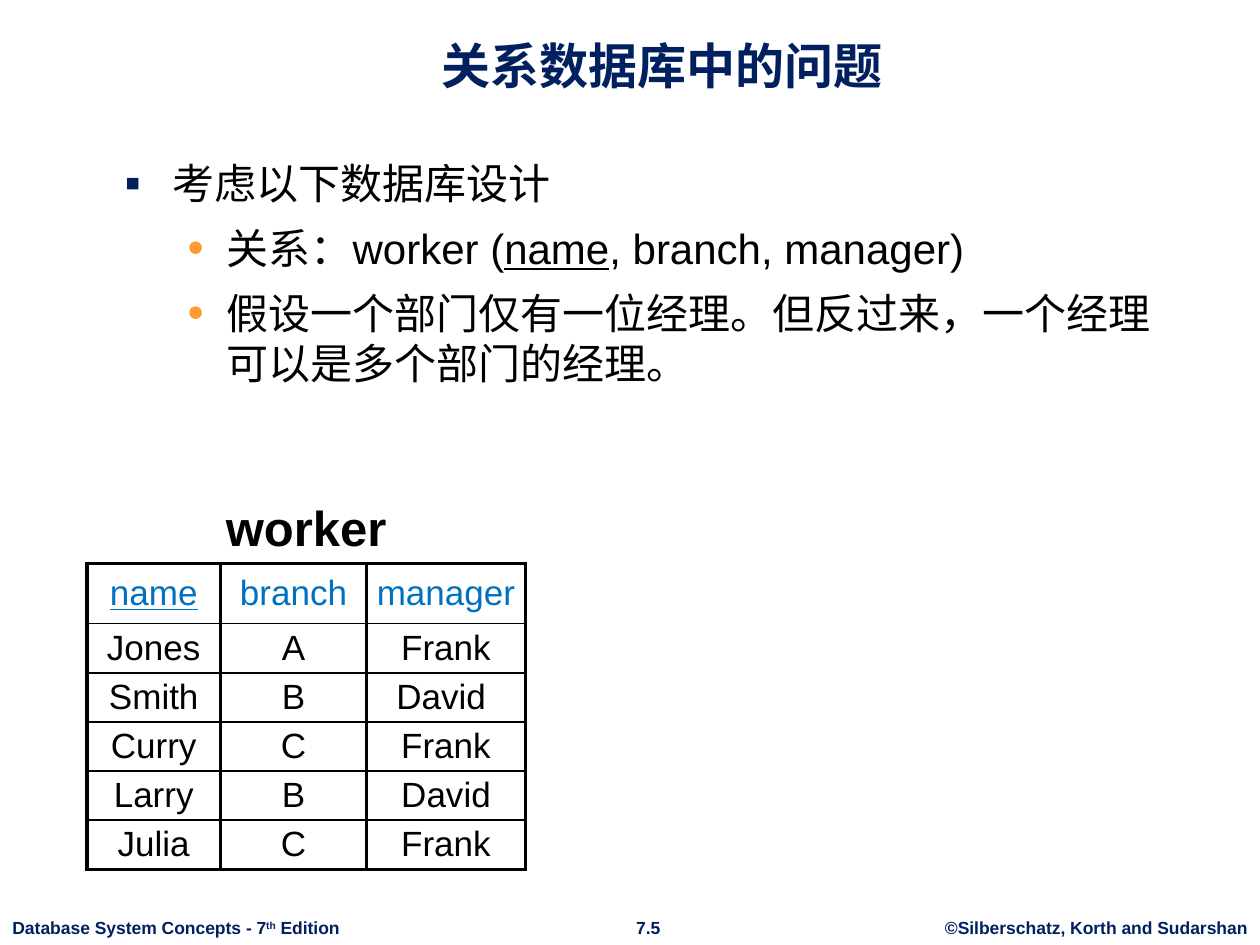
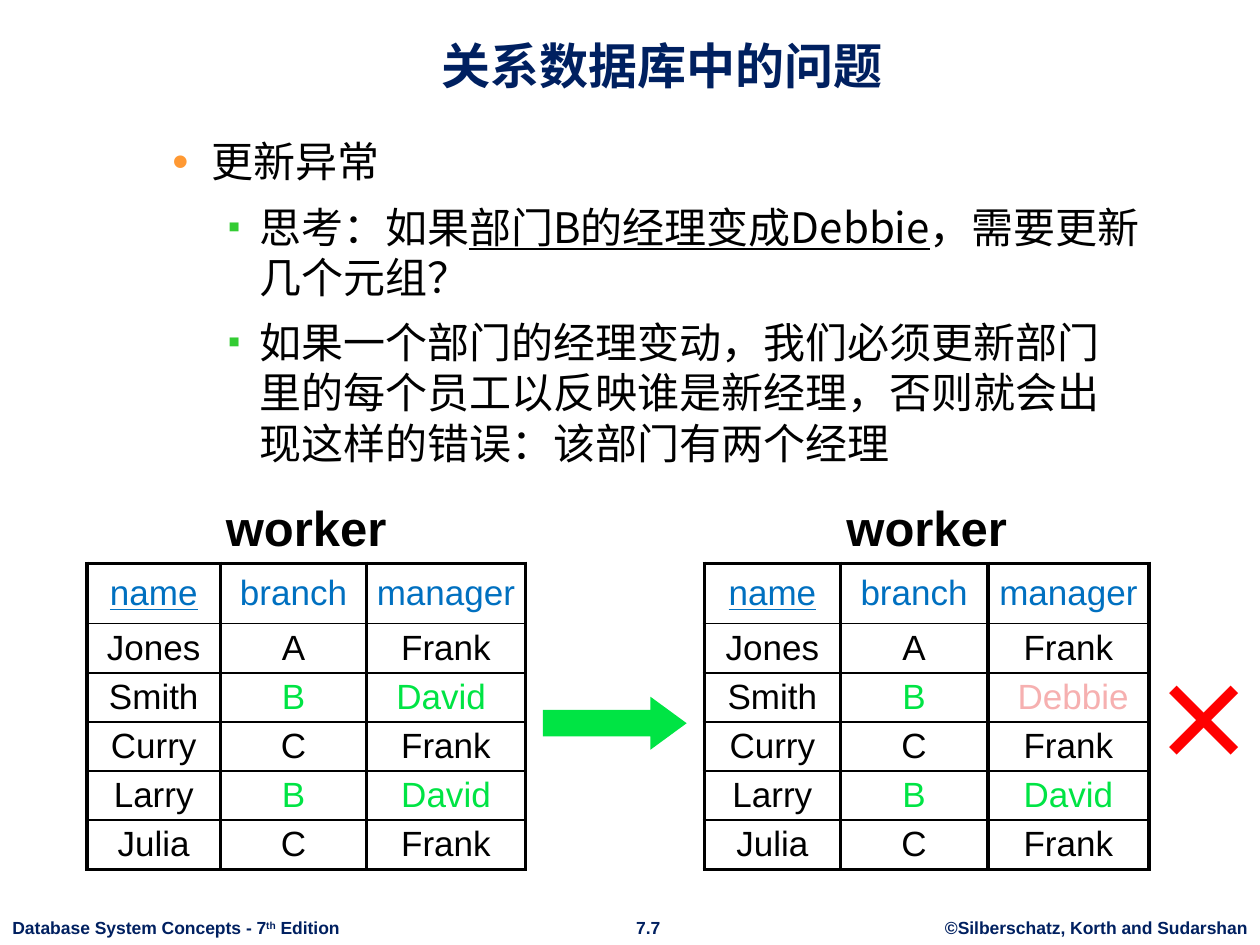
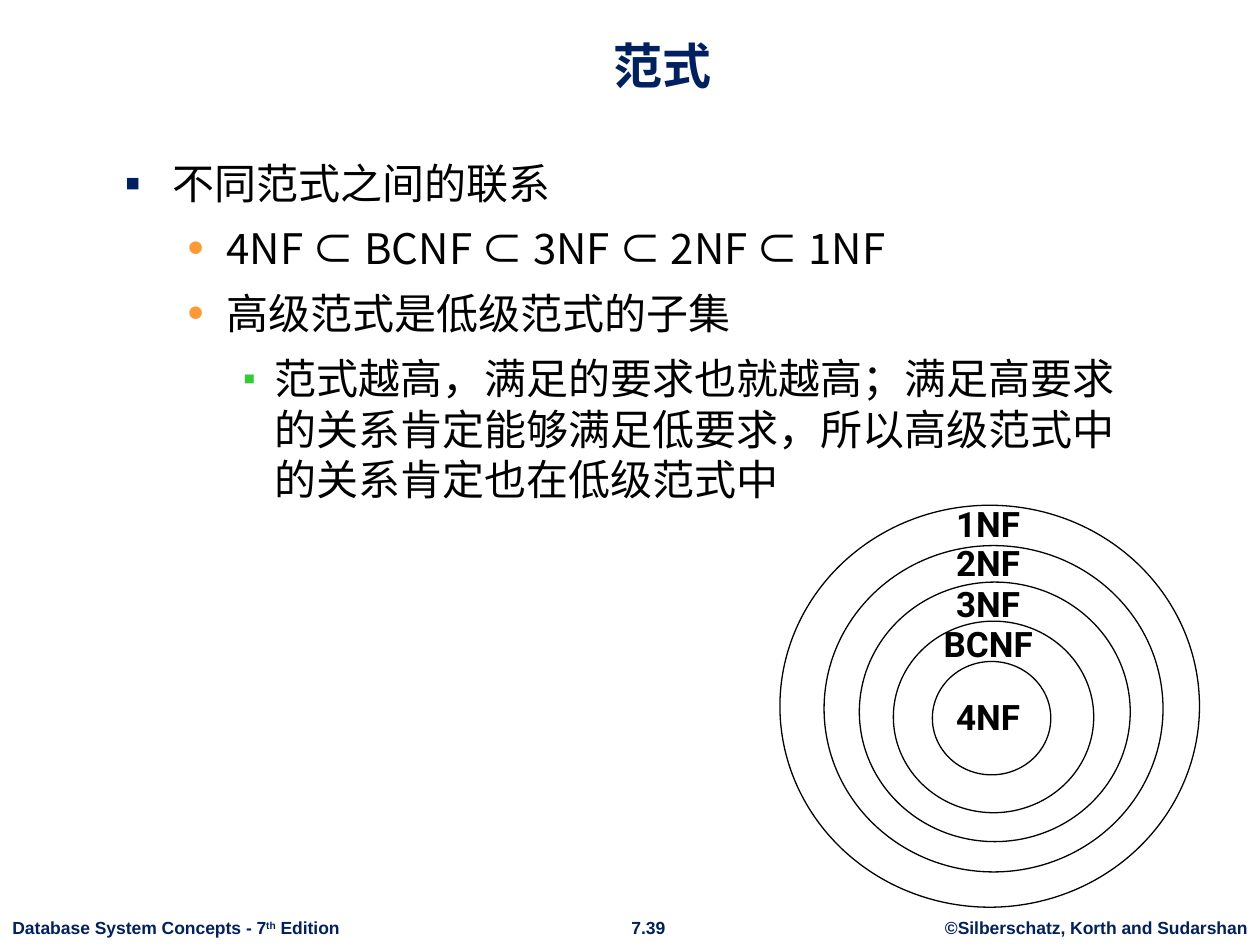
from lxml.etree import SubElement
from pptx import Presentation
from pptx.dml.color import RGBColor
from pptx.enum.shapes import MSO_SHAPE as Shape
from pptx.enum.text import MSO_ANCHOR as Anchor, MSO_AUTO_SIZE as AutoSize, PP_ALIGN as Align
from pptx.oxml.ns import qn
from pptx.util import Inches, Pt

WIDTH, HEIGHT = 10, 7.5
NAVY, BLACK, WHITE, BLUE = "002060", "000000", "FFFFFF", "0070C0"
ORANGE, LIME, GREEN, RED, PINK = "FF9933", "33CC33", "00E444", "FF0000", "F6B0B0"
LATIN, CHINESE, DIAGRAM = "Arial", "Noto Sans CJK SC", "Roboto"
UNDERLINED = {"underline": True}

LEVELS = [
    {"indent": 0.38, "hang": 0.38, "mark": "▪", "color": NAVY, "scale": 110},
    {"indent": 0.81, "hang": 0.31, "mark": "•", "color": ORANGE, "scale": 110},
    {"indent": 1.19, "hang": 0.25, "mark": "▪", "color": LIME, "scale": 85},
]

EDITION = ["Database System Concepts - 7", ("th", {"raised": 30}), " Edition"]
AUTHORS = "©Silberschatz, Korth and Sudarshan"

HEADINGS = ["name", "branch", "manager"]
WORKERS = [
    ["Jones", "A", "Frank"],
    ["Smith", "B", "David "],
    ["Curry", "C", "Frank"],
    ["Larry", "B", "David"],
    ["Julia", "C", "Frank"],
]
UPDATED = [[name, branch, " Debbie" if name == "Smith" else manager]
           for name, branch, manager in WORKERS]
HIGHLIGHTS = {"B": GREEN, "David": GREEN, "Debbie": PINK}
TABLE_TOP, HEADING_ROW, WORKER_ROW = 4.47, 0.48, 0.39
BEFORE = {"left": 0.69, "columns": [1.06, 1.16, 1.26]}
AFTER = {"left": 5.59, "columns": [1.08, 1.17, 1.28]}

ISSUES = "关系数据库中的问题"
DESIGN = [
    (0, ["考虑以下数据库设计"]),
    (1, ["关系：worker (", ("name", UNDERLINED), ", branch, manager)"]),
    (1, ["假设一个部门仅有一位经理。但反过来，一个经理可以是多个部门的经理。"]),
]
ANOMALY = [
    (1, ["更新异常"]),
    (2, ["思考：如果", ("部门B的经理变成Debbie", UNDERLINED), "，需要更新几个元组？"]),
    (2, ["如果一个部门的经理变动，我们必须更新部门里的每个员工以反映谁是新经理，"
         "否则就会出现这样的错误：该部门有两个经理"]),
]
NORMAL_FORMS = [
    (0, ["不同范式之间的联系"]),
    (1, ["4NF ⊂ BCNF ⊂ 3NF ⊂ 2NF ⊂ 1NF"]),
    (1, ["高级范式是低级范式的子集"]),
    (2, ["范式越高，满足的要求也就越高；满足高要求的关系肯定能够满足低要求，"
         "所以高级范式中的关系肯定也在低级范式中"]),
]
RINGS = [
    ("4NF", (7.4, 5.25, 0.94, 0.9), (7.49, 5.47, 0.86)),
    ("BCNF", (7.09, 4.93, 1.59, 1.52), (7.39, 4.89, 1.18)),
    ("3NF", (6.82, 4.62, 2.15, 2.06), (7.49, 4.57, 0.86)),
    ("2NF", (6.54, 4.33, 2.69, 2.59), (7.49, 4.25, 0.86)),
    ("1NF", (6.19, 4.01, 3.33, 3.19), (7.49, 3.94, 0.86)),
]


def rgb(value):
    return RGBColor.from_string(value)


def inches(lengths):
    return [Inches(length) for length in lengths]


def write(paragraph, pieces, size=24, color=BLACK, font=LATIN, bold=False,
          align=Align.LEFT, underline=False):
    paragraph.alignment = align
    for piece in [pieces] if isinstance(pieces, str) else pieces:
        words, extra = (piece, {}) if isinstance(piece, str) else piece
        run = paragraph.add_run()
        run.text = words
        style = run.font
        style.size, style.name, style.bold = Pt(size), font, bold
        style.color.rgb = rgb(color)
        style.underline = extra.get("underline", underline)
        properties = run._r.get_or_add_rPr()
        SubElement(properties, qn("a:ea")).set("typeface", CHINESE)
        if "raised" in extra:
            properties.set("baseline", str(extra["raised"] * 1000))


def add_text(shapes, pieces, box, wrap=False, side=0.1, **style):
    frame = shapes.add_textbox(*inches(box)).text_frame
    frame.word_wrap = wrap
    frame.auto_size = AutoSize.NONE
    frame.margin_left = frame.margin_right = Inches(side)
    write(frame.paragraphs[0], pieces, **style)


def add_bullet(paragraph, level):
    look = LEVELS[level]
    paragraph.level = level
    properties = paragraph._p.get_or_add_pPr()
    properties.set("marL", str(Inches(look["indent"])))
    properties.set("indent", str(-Inches(look["hang"])))
    tint = SubElement(properties, qn("a:buClr"))
    SubElement(tint, qn("a:srgbClr")).set("val", look["color"])
    SubElement(properties, qn("a:buSzPct")).set("val", str(look["scale"] * 1000))
    SubElement(properties, qn("a:buFont")).set("typeface", LATIN)
    SubElement(properties, qn("a:buChar")).set("char", look["mark"])


def add_outline(slide, points, left=0.89, top=1.2, font=CHINESE):
    frame = slide.shapes.add_textbox(*inches((left, top, 8.38, 5.36))).text_frame
    frame.word_wrap = True
    for index, (level, pieces) in enumerate(points):
        paragraph = frame.add_paragraph() if index else frame.paragraphs[0]
        if index:
            paragraph.space_before = Pt(8.4)
        write(paragraph, pieces, font=font)
        add_bullet(paragraph, level)


def set_borders(cell, **widths):
    properties = cell._tc.get_or_add_tcPr()
    for position, side in enumerate(("L", "R", "T", "B")):
        edge = properties.makeelement(qn(f"a:ln{side}"), {"w": str(Pt(widths[side]))})
        SubElement(SubElement(edge, qn("a:solidFill")), qn("a:srgbClr")).set("val", BLACK)
        properties.insert(position, edge)


def add_workers(slide, workers, left, columns, highlights):
    rows = [HEADINGS] + workers
    heights = [HEADING_ROW] + [WORKER_ROW] * len(workers)
    width = sum(columns)
    grid = slide.shapes.add_table(len(rows), len(columns), *inches(
        (left, TABLE_TOP, width, sum(heights)))).table
    grid.first_row = grid.horz_banding = False
    for column, size in zip(grid.columns, columns):
        column.width = Inches(size)
    for row, size in zip(grid.rows, heights):
        row.height = Inches(size)
    for r, values in enumerate(rows):
        for c, value in enumerate(values):
            cell = grid.cell(r, c)
            cell.vertical_anchor = Anchor.MIDDLE
            cell.margin_left = cell.margin_right = 0
            cell.margin_top = cell.margin_bottom = Inches(0.02)
            if r == 0:
                cell.fill.solid()
                cell.fill.fore_color.rgb = rgb(WHITE)
            else:
                cell.fill.background()
            color = highlights.get(value.strip(), BLACK) if r else BLUE
            write(cell.text_frame.paragraphs[0], value, size=20, color=color,
                  align=Align.CENTER, underline=(r, c) == (0, 0))
            set_borders(cell, L=2.25, R=2.25, T=1 if r else 2.25,
                        B=2.25 if r == len(workers) else 1)
    add_text(slide.shapes, "worker", (left, TABLE_TOP - 0.57, width, 0.57),
             size=28, bold=True, align=Align.CENTER)


def add_slide(deck, heading, number):
    slide = deck.slides.add_slide(deck.slide_layouts[5])
    footer = {"size": 10, "color": NAVY, "bold": True}
    for pieces, left, width, align in [
        (AUTHORS, 7.4, 2.6, Align.CENTER),
        (number, 4.9, 0.49, Align.CENTER),
        (EDITION, 0, 2.81, Align.LEFT),
    ]:
        add_text(slide.shapes, pieces, (left, HEIGHT - 0.27, width, 0.27),
                 align=align, **footer)
    title = slide.shapes.title
    title.left, title.top, title.width, title.height = inches((0.84, 0.13, 8.83, 0.67))
    title.text_frame.vertical_anchor = Anchor.BOTTOM
    write(title.text_frame.paragraphs[0], heading, size=28, color=NAVY,
          bold=True, align=Align.CENTER)
    return slide


def add_update_arrow(slide):
    arrow = slide.shapes.add_shape(Shape.RIGHT_ARROW, *inches((4.31, 5.53, 1.14, 0.42)))
    arrow.adjustments[0], arrow.adjustments[1] = 0.5, 0.683
    arrow.shadow.inherit = False
    arrow.fill.solid()
    arrow.fill.fore_color.rgb = rgb(GREEN)
    arrow.line.fill.background()


def add_rings(slide):
    shapes = slide.shapes.add_group_shape().shapes
    for _, ring_box, _ in RINGS:
        ring = shapes.add_shape(Shape.OVAL, *inches(ring_box))
        ring.shadow.inherit = False
        ring.fill.background()
        ring.line.color.rgb = rgb(BLACK)
        ring.line.width = Pt(0.75)
    for form, _, label_box in reversed(RINGS):
        add_text(shapes, form, (*label_box, 0.43), wrap=True, size=20,
                 font=DIAGRAM, bold=True)


def main():
    deck = Presentation()
    deck.slide_width, deck.slide_height = inches((WIDTH, HEIGHT))

    design = add_slide(deck, ISSUES, "7.5")
    add_outline(design, DESIGN, font=LATIN)
    add_workers(design, WORKERS, **BEFORE, highlights={})

    anomaly = add_slide(deck, ISSUES, "7.7")
    add_outline(anomaly, ANOMALY, left=0.77, top=1.03)
    add_update_arrow(anomaly)
    add_workers(anomaly, UPDATED, **AFTER, highlights=HIGHLIGHTS)
    add_text(anomaly.shapes, "×", (9.14, 5.15, 0.88, 1.1), wrap=True, side=0,
             size=60, color=RED, font=CHINESE, bold=True)
    add_workers(anomaly, WORKERS, **BEFORE, highlights=HIGHLIGHTS)

    forms = add_slide(deck, "范式", "7.39")
    add_outline(forms, NORMAL_FORMS)
    add_rings(forms)

    deck.save("out.pptx")


if __name__ == "__main__":
    main()
